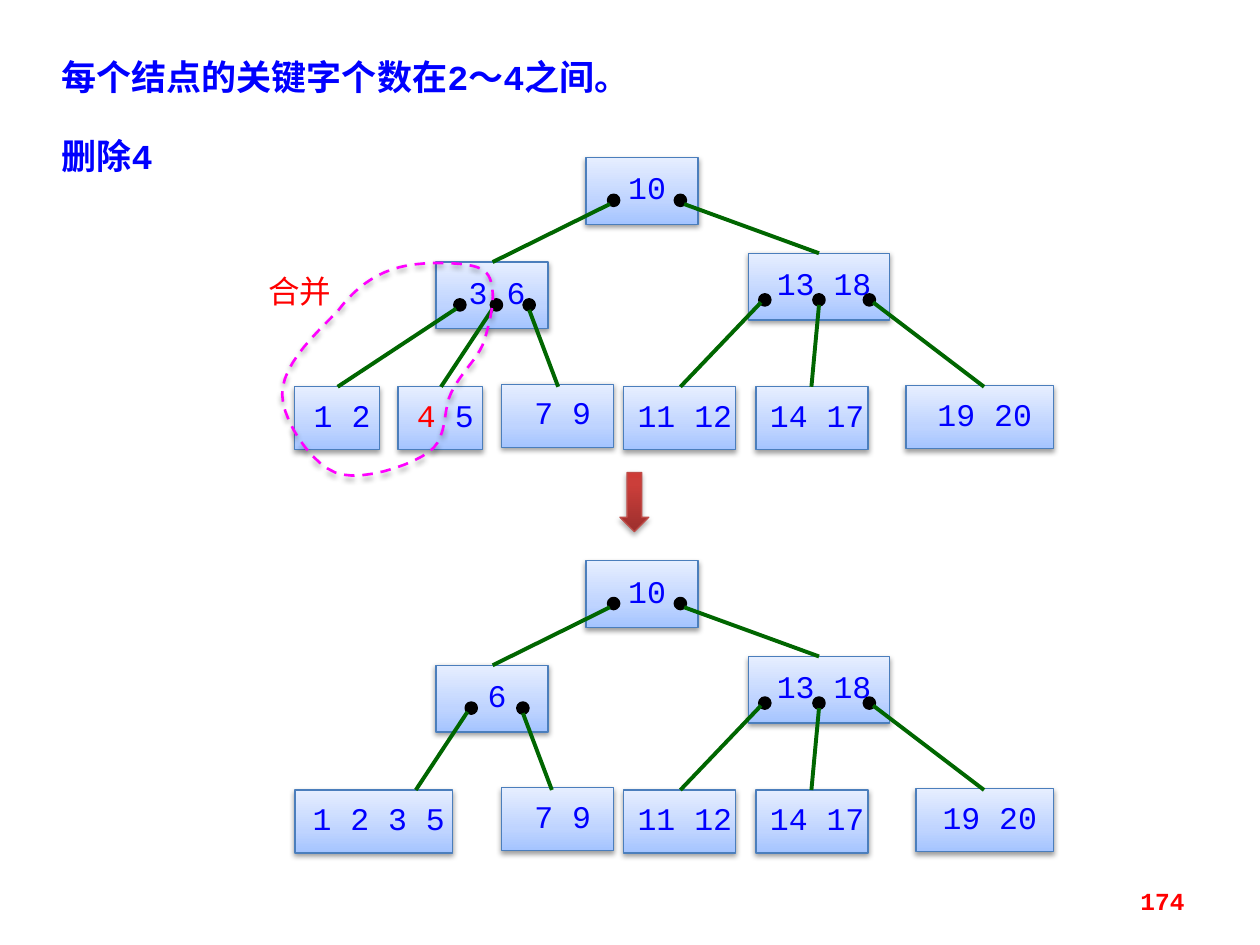
from dataclasses import dataclass
from typing import NamedTuple

from lxml.etree import SubElement
from pptx import Presentation
from pptx.dml.color import RGBColor
from pptx.enum.dml import MSO_LINE
from pptx.enum.shapes import MSO_CONNECTOR, MSO_SHAPE as SHAPE
from pptx.enum.text import MSO_ANCHOR as ANCHOR, PP_ALIGN as ALIGN
from pptx.oxml.ns import qn
from pptx.util import Pt

PX = 9144  # EMU per px, 100 px to the inch


@dataclass(frozen=True)
class Theme:
    mono: str = "Courier New"
    cjk: str = "Noto Sans CJK SC"
    key: str = "0000FF"
    accent: str = "FF0000"
    node_line: str = "4B7EBC"
    node_stops: tuple = ((0, "A4C4FF"), (35, "BFD4FF"), (100, "E6EEFF"))
    arrow_line: str = "BF4C48"
    arrow_stops: tuple = ((0, "9C2F2D"), (80, "CB3E3A"), (100, "CE3B37"))
    dot: str = "000000"
    edge: str = "006600"
    loop: str = "FF00FF"
    title_pt: int = 20
    body_pt: int = 18
    number_pt: int = 14


class Node(NamedTuple):
    x: int
    y: int
    w: int
    h: int
    keys: str
    removed: str = ""  # leading key shown in the accent colour


class Edge(NamedTuple):
    x1: int
    y1: int
    x2: int
    y2: int


class Label(NamedTuple):
    x: int
    y: int
    w: int
    h: int
    text: str
    font: str
    size: int
    color: str
    bold: bool = False
    align: ALIGN = ALIGN.LEFT
    anchor: ANCHOR = ANCHOR.TOP


class Tree(NamedTuple):
    nodes: list[Node]
    dots: list[tuple[int, int]]
    edges: list[Edge]


T = Theme()
STEP = 320  # distance between the two trees

# Parts both trees share
COMMON = Tree(
    [Node(465, 125, 89, 53, "10"), Node(594, 201, 112, 53, "13 18"),
     Node(398, 305, 89, 50, "7 9"), Node(495, 307, 89, 50, "11 12"),
     Node(600, 307, 89, 50, "14 17")],
    [(483, 155), (536, 155), (603, 234), (646, 234), (686, 234)],
    [Edge(484, 162, 391, 208), Edge(543, 162, 650, 201), Edge(604, 240, 540, 307),
     Edge(650, 242, 644, 307), Edge(693, 240, 781, 307)])

# Parts that differ, before and after the merge
BEFORE = Tree(
    [Node(346, 208, 89, 53, "3 6"), Node(234, 307, 67, 50, "1 2"),
     Node(316, 307, 67, 50, "4 5", "4"), Node(719, 306, 117, 50, "19 20")],
    [(361, 238), (390, 238), (416, 238)],
    [Edge(362, 245, 268, 307), Edge(391, 245, 350, 307), Edge(420, 246, 443, 307)])
AFTER = Tree(
    [Node(346, 208, 89, 53, "6"), Node(234, 307, 125, 50, "1 2 3 5"),
     Node(727, 306, 109, 50, "19 20")],
    [(370, 238), (411, 238)],
    [Edge(371, 245, 330, 307), Edge(415, 246, 438, 307)])

LABELS = [
    Label(39, 102, 102, 44, "删除4", T.mono, T.title_pt, T.key, True),
    Label(39, 39, 469, 44, "每个结点的关键字个数在2～4之间。", T.mono, T.title_pt, T.key, True),
    Label(203, 211, 70, 40, "合并", T.cjk, T.body_pt, T.accent),
    Label(717, 695, 233, 40, "174", T.mono, T.number_pt, T.accent, True,
          ALIGN.RIGHT, ANCHOR.MIDDLE),
]

# Merge outline: a start point, then two controls and an end per curve
LOOP_START = (264, 251)
LOOP_CURVES = [
    ((244, 271), (224, 292), (224, 313)), ((224, 333), (246, 367), (266, 375)),
    ((285, 383), (325, 370), (340, 359)), ((356, 348), (351, 326), (358, 312)),
    ((365, 297), (377, 287), (383, 274)), ((388, 260), (392, 242), (391, 232)),
    ((390, 221), (388, 214), (375, 211)), ((362, 208), (329, 207), (311, 214)),
    ((292, 220), (276, 235), (266, 250)),
]


def rgb(color: str) -> RGBColor:
    return RGBColor.from_string(color)


def set_line(shape, color: str, width: float) -> None:
    shape.line.color.rgb = rgb(color)
    shape.line.width = Pt(width)


def add_color(parent, color: str):
    return SubElement(parent, qn("a:srgbClr"), val=color)


def set_shadow(sp, alpha: int, dist: float) -> None:
    sp.shadow.inherit = False
    effects = sp._element.spPr.find(qn("a:effectLst"))
    shadow = SubElement(effects, qn("a:outerShdw"), blurRad=str(Pt(3.1)),
                        dist=str(Pt(dist)), dir="5400000", rotWithShape="0")
    SubElement(add_color(shadow, "000000"), qn("a:alpha"), val=str(alpha * 1000))


def set_gradient(sp, stops: tuple) -> None:
    sp.fill.gradient()
    sp.fill.gradient_angle = 90
    gs_list = sp._element.spPr.find(f"{qn('a:gradFill')}/{qn('a:gsLst')}")
    for old in list(gs_list):
        gs_list.remove(old)
    for pos, color in stops:
        add_color(SubElement(gs_list, qn("a:gs"), pos=str(pos * 1000)), color)


def add_shape(slide, kind: SHAPE, x: int, y: int, w: int, h: int):
    return slide.shapes.add_shape(kind, x * PX, y * PX, w * PX, h * PX)


def set_font(p, name: str, size: int, color: str, bold: bool = False) -> None:
    p.font.name, p.font.size, p.font.bold = name, Pt(size), bold
    p.font.color.rgb = rgb(color)


def draw_node(slide, node: Node, dy: int) -> None:
    sp = add_shape(slide, SHAPE.RECTANGLE, node.x, node.y + dy, node.w, node.h)
    set_gradient(sp, T.node_stops)
    set_line(sp, T.node_line, 0.75)
    set_shadow(sp, 38, 1.6)
    tf = sp.text_frame
    tf.vertical_anchor = ANCHOR.MIDDLE
    tf.margin_left = 8 * PX
    tf.margin_top = tf.margin_right = tf.margin_bottom = 0
    p = tf.paragraphs[0]
    p.alignment, p.line_spacing = ALIGN.CENTER, 0.8
    set_font(p, T.mono, T.body_pt, T.key)
    if node.removed:
        r = p.add_run()
        r.text = node.removed
        r.font.color.rgb = rgb(T.accent)
    p.add_run().text = node.keys.removeprefix(node.removed)


def draw_dot(slide, x: int, y: int) -> None:
    sp = add_shape(slide, SHAPE.OVAL, x, y, 8, 8)
    sp.shadow.inherit = False
    sp.fill.solid()
    sp.fill.fore_color.rgb = rgb(T.dot)
    set_line(sp, T.dot, 2)


def draw_edge(slide, edge: Edge, dy: int) -> None:
    line = slide.shapes.add_connector(
        MSO_CONNECTOR.STRAIGHT, edge.x1 * PX, (edge.y1 + dy) * PX,
        edge.x2 * PX, (edge.y2 + dy) * PX)
    set_line(line, T.edge, 2.25)
    SubElement(line._element.spPr, qn("a:effectLst"))


def draw_tree(slide, own: Tree, dy: int) -> None:
    for node in COMMON.nodes + own.nodes:
        draw_node(slide, node, dy)
    for x, y in COMMON.dots + own.dots:
        draw_dot(slide, x, y + dy)
    for edge in COMMON.edges + own.edges:
        draw_edge(slide, edge, dy)


def draw_loop(slide, steps: int = 10) -> None:
    points = [LOOP_START]
    for a, b, end in LOOP_CURVES:
        start = points[-1]
        for t in (i / steps for i in range(1, steps + 1)):
            u = 1 - t
            points.append(tuple(
                u**3 * p0 + 3 * u * u * t * p1 + 3 * u * t * t * p2 + t**3 * p3
                for p0, p1, p2, p3 in zip(start, a, b, end)))
    first, *rest = [(round(x * PX), round(y * PX)) for x, y in points]
    builder = slide.shapes.build_freeform(*first)
    builder.add_line_segments(rest, close=False)
    sp = builder.convert_to_shape()
    sp.fill.background()
    set_line(sp, T.loop, 1.5)
    sp.line.dash_style = MSO_LINE.DASH
    set_shadow(sp, 38, 1.6)


def draw_arrow(slide) -> None:
    sp = add_shape(slide, SHAPE.DOWN_ARROW, 492, 375, 23, 47)
    set_gradient(sp, T.arrow_stops)
    set_line(sp, T.arrow_line, 0.75)
    set_shadow(sp, 35, 1.8)


def draw_label(slide, label: Label) -> None:
    box = slide.shapes.add_textbox(*(v * PX for v in label[:4]))
    tf = box.text_frame
    tf.word_wrap, tf.vertical_anchor = True, label.anchor
    p = tf.paragraphs[0]
    p.alignment = label.align
    set_font(p, label.font, label.size, label.color, label.bold)
    p.add_run().text = label.text


def main() -> None:
    prs = Presentation()
    prs.slide_width, prs.slide_height = 1000 * PX, 750 * PX
    slide = prs.slides.add_slide(prs.slide_layouts[6])
    draw_tree(slide, BEFORE, 0)
    draw_loop(slide)
    draw_arrow(slide)
    draw_tree(slide, AFTER, STEP)
    for label in LABELS:
        draw_label(slide, label)
    prs.save("out.pptx")


if __name__ == "__main__":
    main()
